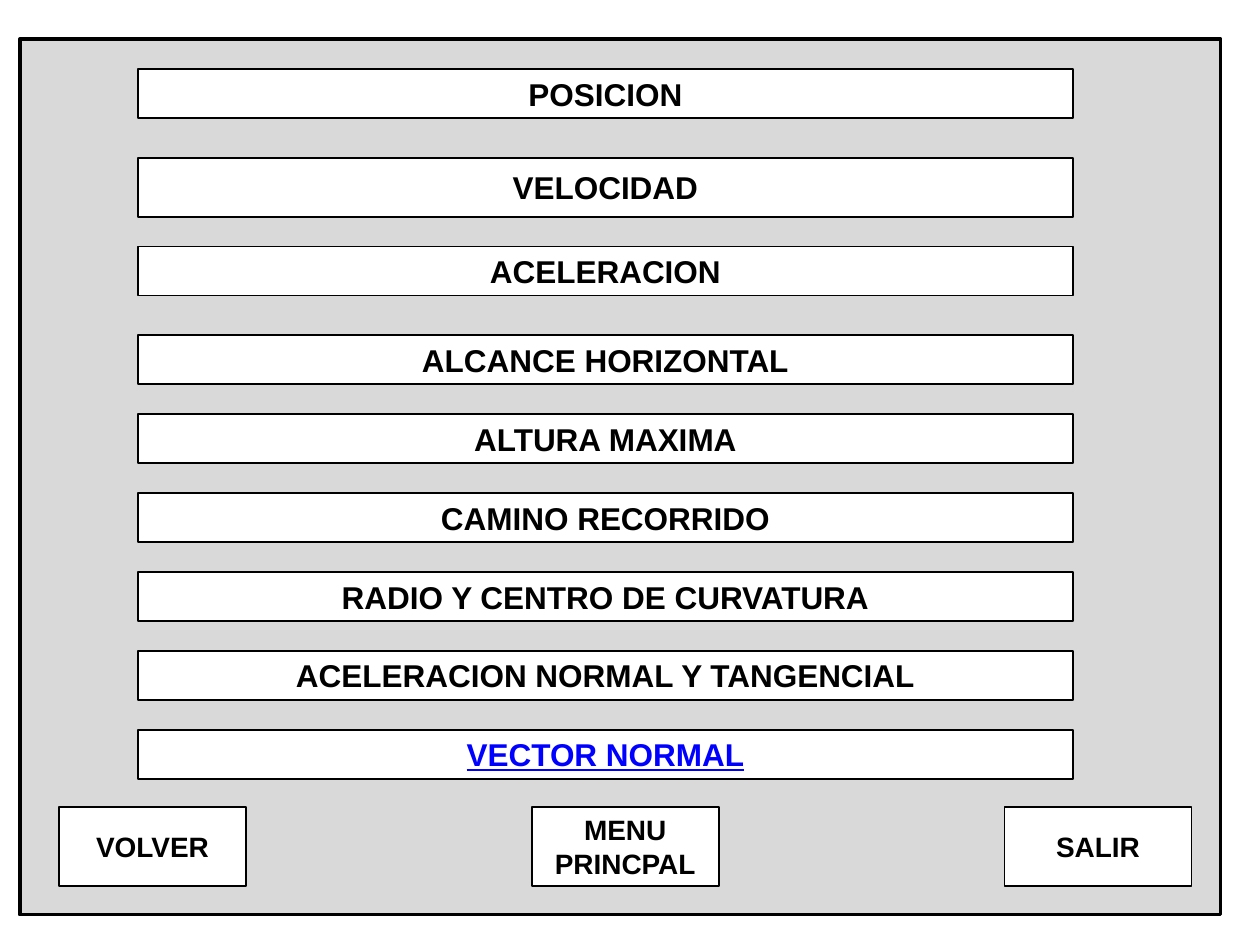
import pptx
import pptx.dml.color
import pptx.enum.shapes
import pptx.enum.text
import pptx.util

Cm = pptx.util.Cm

TOPICS = [
    "POSICION", "VELOCIDAD", "ACELERACION", "ALCANCE HORIZONTAL",
    "ALTURA MAXIMA", "CAMINO RECORRIDO", "RADIO Y CENTRO DE CURVATURA",
    "ACELERACION NORMAL Y TANGENCIAL", "VECTOR NORMAL",
]
BUTTONS = ["VOLVER", "MENU PRINCPAL", "SALIR"]
WIDE_ROWS = 3  # the first gaps between topics are wider than the rest


def color(hex_string):
    return pptx.dml.color.RGBColor.from_string(hex_string)


def write_text(shape, text, size=18, font_color="000000", underline=None):
    frame = shape.text_frame
    frame.word_wrap = True
    frame.vertical_anchor = pptx.enum.text.MSO_ANCHOR.MIDDLE
    paragraph = frame.paragraphs[0]
    paragraph.alignment = pptx.enum.text.PP_ALIGN.CENTER
    run = paragraph.add_run()
    run.text = text
    run.font.name = "Arial"
    run.font.size = pptx.util.Pt(size)
    run.font.bold = True
    run.font.underline = underline
    run.font.color.rgb = color(font_color)


class MenuSlide:
    """Holds the style and the current slide."""

    line_color = "000000"
    panel_fill = "D9D9D9"
    box_fill = "FFFFFF"
    link_color = "0000FF"

    def __init__(self, slide):
        self.slide = slide

    def rectangle(self, left, top, width, height, fill, line_width=1):
        shape = self.slide.shapes.add_shape(
            pptx.enum.shapes.MSO_SHAPE.RECTANGLE,
            Cm(left), Cm(top), Cm(width), Cm(height))
        shape.shadow.inherit = False
        shape.fill.solid()
        shape.fill.fore_color.rgb = color(fill)
        shape.line.color.rgb = color(self.line_color)
        shape.line.width = pptx.util.Pt(line_width)
        return shape

    def panel(self):
        self.rectangle(0.4, 0.79, 24.21, 17.65, self.panel_fill, line_width=2)

    def topic(self, text, top, height=0.99, **text_format):
        shape = self.rectangle(2.78, top, 18.85, height, self.box_fill)
        write_text(shape, text, **text_format)

    def button(self, text, left):
        shape = self.rectangle(left, 16.27, 3.77, 1.59, self.box_fill)
        write_text(shape, text, size=16)


def main():
    presentation = pptx.Presentation()
    presentation.slide_width = Cm(25.4)
    presentation.slide_height = Cm(19.05)
    menu = MenuSlide(presentation.slides.add_slide(presentation.slide_layouts[6]))

    # Grey background panel
    menu.panel()

    # Topic bars
    top = 1.39
    for index, text in enumerate(TOPICS):
        text_format = {}
        if text == "VECTOR NORMAL":
            text_format = {"font_color": menu.link_color, "underline": True}
        height = 1.19 if text == "VELOCIDAD" else 0.99
        menu.topic(text, top, height, **text_format)
        top += 1.79 if index < WIDE_ROWS else 1.59

    # Navigation buttons
    for index, text in enumerate(BUTTONS):
        menu.button(text, 1.19 + index * 9.53)

    presentation.save("out.pptx")


if __name__ == "__main__":
    main()
